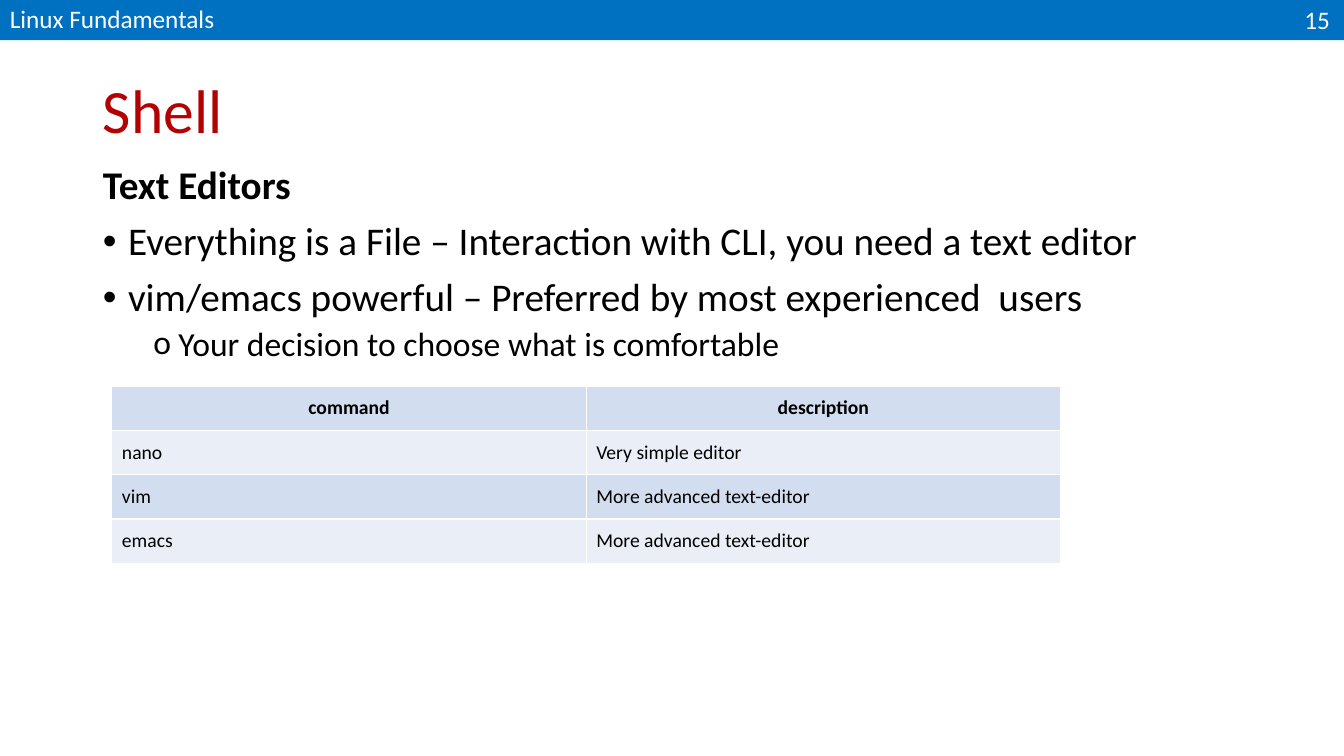
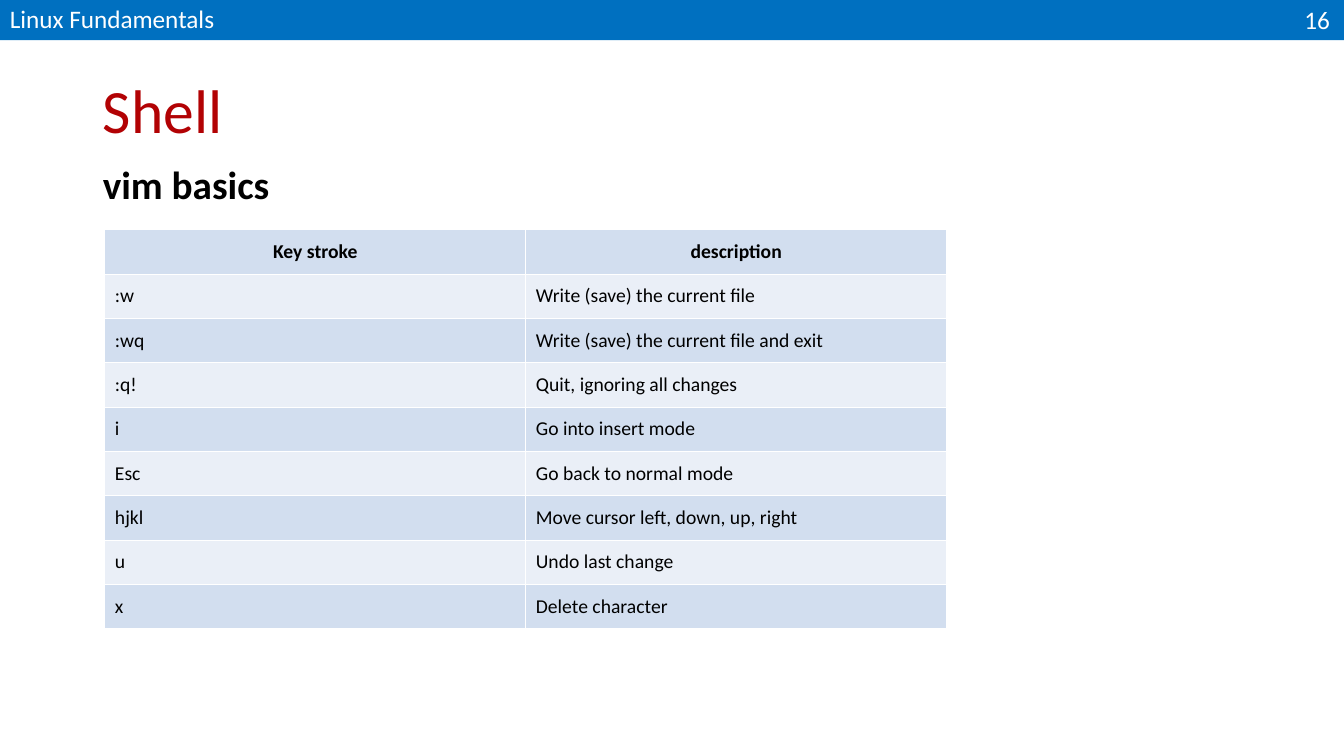
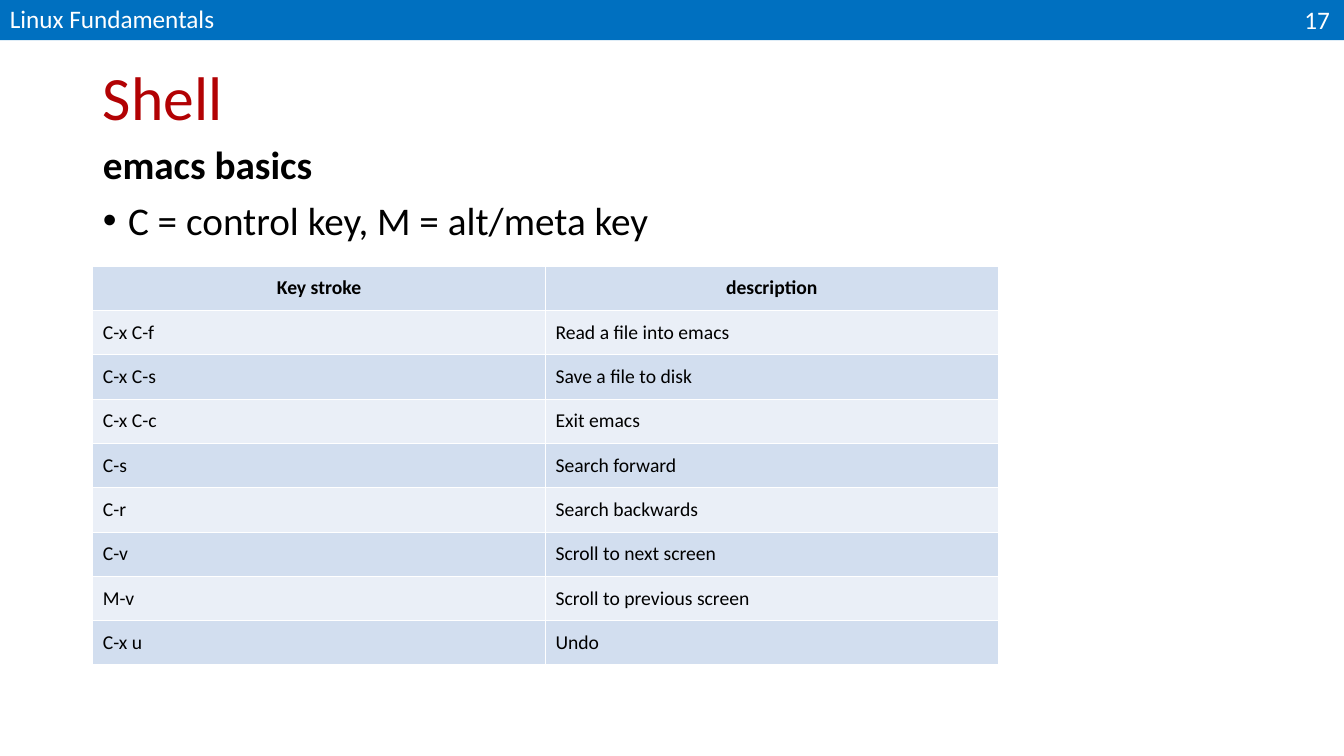
from lxml.etree import SubElement
from pptx import Presentation
from pptx.dml.color import RGBColor
from pptx.enum.shapes import MSO_SHAPE
from pptx.enum.text import MSO_ANCHOR, MSO_AUTO_SIZE, PP_ALIGN
from pptx.oxml.ns import qn
from pptx.util import Inches, Pt

COLORS = {
    "band": "0070C0",
    "title": "B20204",
    "text": "000000",
    "white": "FFFFFF",
    "row_dark": "D2DEEF",
    "row_light": "EAEFF7",
}
FONT = "Calibri"
LEFT, WIDTH = 0.92, 11.5
BODY_BOTTOM = 6.35
ROW_HEIGHT = 0.44
CELL_INSET = 0.1

# Each kind of body line: outline level, text format, space before, left margin, bullet
LINES = {
    "heading": (0, {"size": Pt(28), "bold": True}, 10, 0, None),
    "bullet": (0, {"size": Pt(28), "bold": False}, 10, 0.25, ("Arial", "•")),
    "detail": (1, {"size": Pt(24), "bold": False}, 5, 0.75, (FONT, "o")),
}


def color(name):
    return RGBColor.from_string(COLORS[name])


def set_bullet(para, margin, bullet):
    """Set the left margin and a hanging bullet, or no bullet if it is None."""
    props = para._p.get_or_add_pPr()
    props.set("marL", str(Inches(margin)))
    props.set("indent", str(Inches(-0.25 if bullet else 0)))
    if bullet:
        typeface, mark = bullet
        SubElement(props, qn("a:buFont"), typeface=typeface)
        SubElement(props, qn("a:buChar"), char=mark)
    else:
        SubElement(props, qn("a:buNone"))


def set_borders(cell):
    props = cell._tc.get_or_add_tcPr()
    for side in ("lnL", "lnR", "lnT", "lnB"):
        line = SubElement(props, qn(f"a:{side}"), w=str(Pt(1)))
        fill = SubElement(line, qn("a:solidFill"))
        SubElement(fill, qn("a:srgbClr"), val=COLORS["white"])


class Lesson:
    """The deck's style and the page being filled."""

    def __init__(self, course):
        self.course = course
        self.deck = Presentation()
        self.deck.slide_width = Inches(13.33)
        self.deck.slide_height = Inches(7.5)
        self.page = None

    def add_text(self, para, text, color_name="text", **formats):
        span = para.add_run()
        span.text = text
        span.font.color.rgb = color(color_name)
        for name, value in {"name": FONT, **formats}.items():
            setattr(span.font, name, value)

    def place(self, box, left, top, width, height, anchor):
        places = {"left": left, "top": top, "width": width, "height": height}
        for name, value in places.items():
            setattr(box, name, Inches(value))
        frame = box.text_frame
        frame.word_wrap = True
        frame.auto_size = MSO_AUTO_SIZE.NONE
        frame.vertical_anchor = anchor
        return frame

    def start_page(self, number):
        layout = self.deck.slide_layouts[1]
        self.page = self.deck.slides.add_slide(layout)
        band = self.page.shapes.add_shape(
            MSO_SHAPE.RECTANGLE, 0, 0, self.deck.slide_width, Inches(0.4))
        band.shadow.inherit = False
        band.fill.solid()
        band.fill.fore_color.rgb = color("band")
        band.line.fill.background()
        self.band_text(self.course, 0, -0.02, 4.5, PP_ALIGN.LEFT)
        self.band_text(str(number), 12.52, -0.01, 0.77, PP_ALIGN.RIGHT)

    def band_text(self, text, left, top, width, align):
        box = self.page.shapes.add_textbox(0, 0, 0, 0)
        frame = self.place(box, left, top, width, 0.4, MSO_ANCHOR.MIDDLE)
        para = frame.paragraphs[0]
        para.alignment = align
        self.add_text(para, text, "white", size=Pt(18))

    def title(self, text, height):
        frame = self.place(self.page.shapes.title, LEFT, 0.4, WIDTH, height,
                           MSO_ANCHOR.MIDDLE)
        para = frame.paragraphs[0]
        para.alignment = PP_ALIGN.LEFT
        para.line_spacing = 0.9
        self.add_text(para, text, "title", size=Pt(44))

    def body(self, top, lines):
        frame = self.place(self.page.placeholders[1], LEFT, top, WIDTH,
                           BODY_BOTTOM - top, MSO_ANCHOR.TOP)
        for index, (kind, text) in enumerate(lines):
            level, formats, space, margin, bullet = LINES[kind]
            para = frame.add_paragraph() if index else frame.paragraphs[0]
            set_bullet(para, margin, bullet)
            para.level = level
            para.line_spacing = 0.9
            para.space_before = Pt(space if index else 0)
            self.add_text(para, text, **formats)

    def table(self, left, top, width, rows):
        """Draw a banded table whose first row is the header."""
        columns = len(rows[0])
        table = self.page.shapes.add_table(
            len(rows), columns, Inches(left), Inches(top),
            Inches(width), Inches(ROW_HEIGHT * len(rows))).table
        table.first_row = table.horz_banding = False
        for row_index, row in enumerate(rows):
            table.rows[row_index].height = Inches(ROW_HEIGHT)
            header = row_index == 0
            for column_index, text in enumerate(row):
                cell = table.cell(row_index, column_index)
                set_borders(cell)
                cell.fill.solid()
                cell.fill.fore_color.rgb = color(
                    "row_light" if row_index % 2 else "row_dark")
                for side in ("left", "right", "top", "bottom"):
                    setattr(cell, f"margin_{side}", Inches(CELL_INSET))
                para = cell.text_frame.paragraphs[0]
                para.alignment = PP_ALIGN.CENTER if header else PP_ALIGN.LEFT
                self.add_text(para, text, size=Pt(14), bold=header)


PAGES = [
    {
        "title_height": 1.45,
        "body_top": 1.59,
        "lines": [
            ("heading", "Text Editors"),
            ("bullet", "Everything is a File – Interaction with CLI, you need a text editor"),
            ("bullet", "vim/emacs powerful – Preferred by most experienced  users"),
            ("detail", "Your decision to choose what is comfortable"),
        ],
        "table_place": (1.11, 3.83, 9.41),
        "rows": [
            ("command", "description"),
            ("nano", "Very simple editor"),
            ("vim", "More advanced text-editor"),
            ("emacs", "More advanced text-editor"),
        ],
    },
    {
        "title_height": 1.45,
        "body_top": 1.59,
        "lines": [("heading", "vim basics")],
        "table_place": (1.04, 2.28, 8.35),
        "rows": [
            ("Key stroke", "description"),
            (":w", "Write (save) the current file"),
            (":wq", "Write (save) the current file and exit"),
            (":q!", "Quit, ignoring all changes"),
            ("i", "Go into insert mode"),
            ("Esc", "Go back to normal mode"),
            ("hjkl", "Move cursor left, down, up, right"),
            ("u", "Undo last change"),
            ("x", "Delete character"),
        ],
    },
    {
        "title_height": 1.19,
        "body_top": 1.39,
        "lines": [
            ("heading", "emacs basics"),
            ("bullet", "C = control key, M = alt/meta key"),
        ],
        "table_place": (0.92, 2.64, 8.98),
        "rows": [
            ("Key stroke", "description"),
            ("C-x C-f", "Read a file into emacs"),
            ("C-x C-s", "Save a file to disk"),
            ("C-x C-c", "Exit emacs"),
            ("C-s", "Search forward"),
            ("C-r", "Search backwards"),
            ("C-v", "Scroll to next screen"),
            ("M-v", "Scroll to previous screen"),
            ("C-x u", "Undo"),
        ],
    },
]


def main():
    lesson = Lesson("Linux Fundamentals")
    for number, content in enumerate(PAGES, start=15):
        lesson.start_page(number)
        lesson.title("Shell", content["title_height"])
        lesson.body(content["body_top"], content["lines"])
        lesson.table(*content["table_place"], content["rows"])
    lesson.deck.save("out.pptx")


if __name__ == "__main__":
    main()
